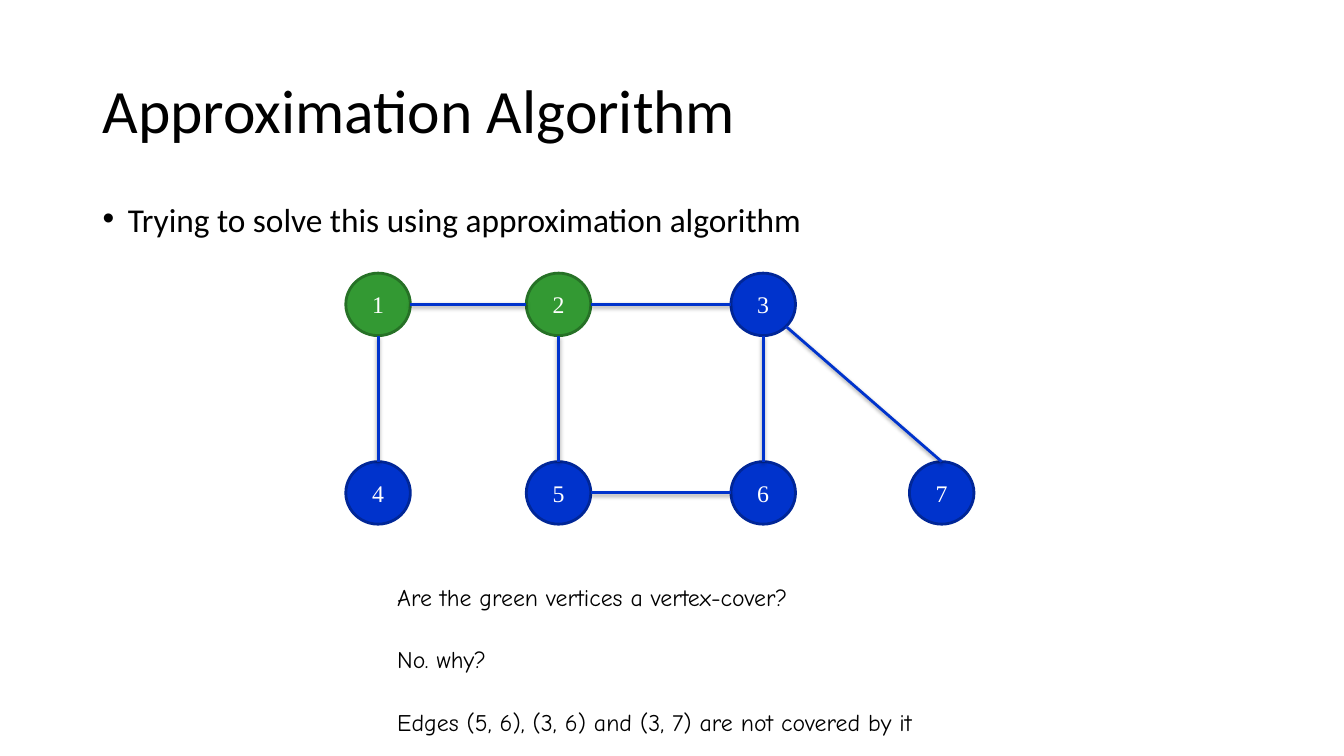
from math import cos, pi
from lxml.etree import SubElement
from pptx import Presentation
from pptx.dml.color import RGBColor
from pptx.enum.shapes import MSO_CONNECTOR, MSO_SHAPE
from pptx.enum.text import MSO_ANCHOR, PP_ALIGN
from pptx.oxml.ns import qn
from pptx.util import Inches, Pt

BLACK = RGBColor(0x00, 0x00, 0x00)
WHITE = RGBColor(0xFF, 0xFF, 0xFF)
BLUE = RGBColor(0x00, 0x33, 0xCC)
DARK_BLUE = RGBColor(0x00, 0x26, 0x97)
GREEN = RGBColor(0x33, 0x99, 0x33)
DARK_GREEN = RGBColor(0x26, 0x71, 0x26)

# Content
TITLE = "Approximation Algorithm"
BULLET = "Trying to solve this using approximation algorithm"
VERTICES = {  # label: (column, row)
    "1": (0, 0), "2": (1, 0), "3": (2, 0),
    "4": (0, 1), "5": (1, 1), "6": (2, 1), "7": (3, 1),
}
COVER = {"1", "2"}
EDGES = [("1", "4"), ("1", "2"), ("2", "3"), ("2", "5"),
         ("3", "7"), ("3", "6"), ("5", "6")]
REMARKS = [  # text, box width
    ("Are the green vertices a vertex-cover?", 4.58),
    ("No. why?", 4.58),
    ("Edges (5, 6), (3, 6) and (3, 7) are not covered by it", 6.32),
]

# Grid in inches: vertex centres, vertex size, remark lines
COLUMNS = (3.75, 5.54, 7.57, 9.34)
ROWS = (3.02, 4.89)
VERTEX_W, VERTEX_H = 0.64, 0.62
REMARK_LEFT, REMARK_TOP, REMARK_STEP = 3.83, 5.73, 0.62


def write(tf, text, size, font, color):
    p = tf.paragraphs[0]
    r = p.add_run()
    r.text = text
    r.font.size, r.font.name = Pt(size), font
    r.font.color.rgb = color
    return p


def add_text(slide, box, text, size, font, inset=0.1):
    tf = slide.shapes.add_textbox(*map(Inches, box)).text_frame
    tf.word_wrap = True
    tf.margin_left = tf.margin_right = Inches(inset)
    return tf, write(tf, text, size, font, BLACK)


def add_vertex(slide, label):
    col, row = VERTICES[label]
    sp = slide.shapes.add_shape(
        MSO_SHAPE.OVAL,
        Inches(COLUMNS[col] - VERTEX_W / 2), Inches(ROWS[row] - VERTEX_H / 2),
        Inches(VERTEX_W), Inches(VERTEX_H))
    sp.shadow.inherit = False
    fill, line = (GREEN, DARK_GREEN) if label in COVER else (BLUE, DARK_BLUE)
    sp.fill.solid()
    sp.fill.fore_color.rgb = fill
    sp.line.color.rgb, sp.line.width = line, Pt(2)
    tf = sp.text_frame
    tf.margin_left = tf.margin_right = Inches(0.11)
    tf.vertical_anchor = MSO_ANCHOR.MIDDLE
    write(tf, label, 17, "Times New Roman", WHITE).alignment = PP_ALIGN.CENTER


def edge_ends(start, end):
    """Rim points facing along the row, down the column or diagonally."""
    (c1, r1), (c2, r2) = VERTICES[start], VERTICES[end]
    x1, y1, x2, y2 = COLUMNS[c1], ROWS[r1], COLUMNS[c2], ROWS[r2]
    rx, ry = VERTEX_W / 2, VERTEX_H / 2
    if r1 == r2:
        return x1 + rx, y1, x2 - rx, y2
    if c1 == c2:
        return x1, y1 + ry, x2, y2 - ry
    return x1 + rx * cos(pi / 4), y1 + ry * cos(pi / 4), x2, y2 - ry


def add_edge(slide, start, end):
    line = slide.shapes.add_connector(
        MSO_CONNECTOR.STRAIGHT, *map(Inches, edge_ends(start, end)))
    line.line.color.rgb, line.line.width = BLUE, Pt(2)
    # Soft shadow straight below the line
    effects = SubElement(line._element.spPr, qn("a:effectLst"))
    shadow = SubElement(effects, qn("a:outerShdw"), blurRad=str(Pt(3.1)),
                        dist=str(Pt(1.6)), dir="5400000", rotWithShape="0")
    color = SubElement(shadow, qn("a:srgbClr"), val=str(BLACK))
    SubElement(color, qn("a:alpha"), val="38000")


def main():
    prs = Presentation()
    prs.slide_width, prs.slide_height = Inches(13.33), Inches(7.5)
    slide = prs.slides.add_slide(prs.slide_layouts[6])

    # Title
    tf, p = add_text(slide, (0.92, 0.4, 11.5, 1.45), TITLE, 44, "Calibri")
    tf.vertical_anchor = MSO_ANCHOR.MIDDLE
    p.line_spacing = 0.9

    # Bullet line
    tf, p = add_text(slide, (0.92, 2, 7.26, 0.56), BULLET, 23.8, "Calibri")
    p.line_spacing, p.space_before = 0.8, Pt(10)
    pPr = p._p.get_or_add_pPr()
    pPr.set("marL", str(Inches(0.25)))
    pPr.set("indent", str(Inches(-0.25)))
    SubElement(pPr, qn("a:buFont"), typeface="Arial")
    SubElement(pPr, qn("a:buChar"), char="•")

    # Graph
    for label in VERTICES:
        add_vertex(slide, label)
    for start, end in EDGES:
        add_edge(slide, start, end)

    # Remarks
    for i, (text, width) in enumerate(REMARKS):
        box = (REMARK_LEFT, REMARK_TOP + i * REMARK_STEP, width, 0.4)
        add_text(slide, box, text, 17, "Comic Neue", 0.11)

    prs.save("out.pptx")


if __name__ == "__main__":
    main()
